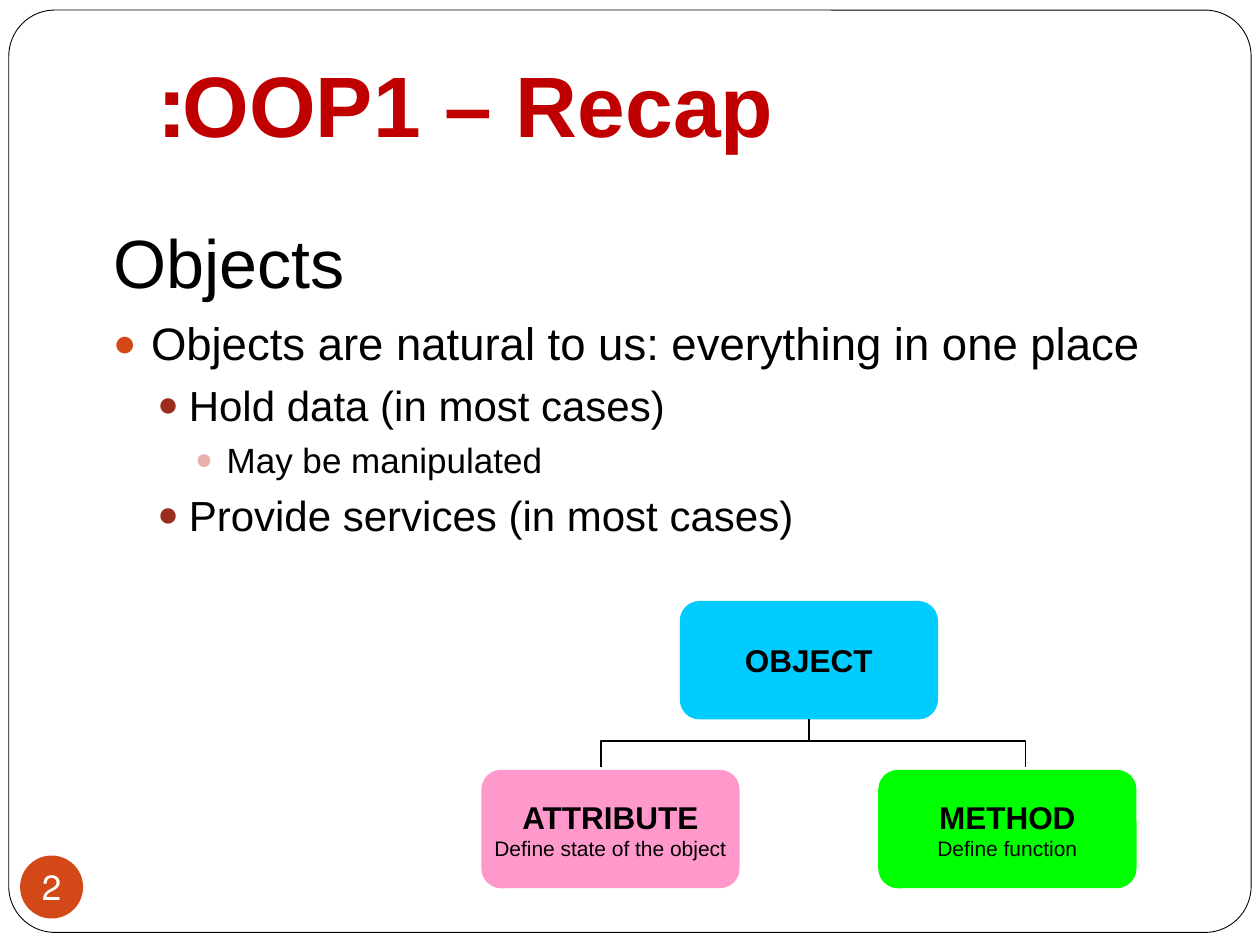
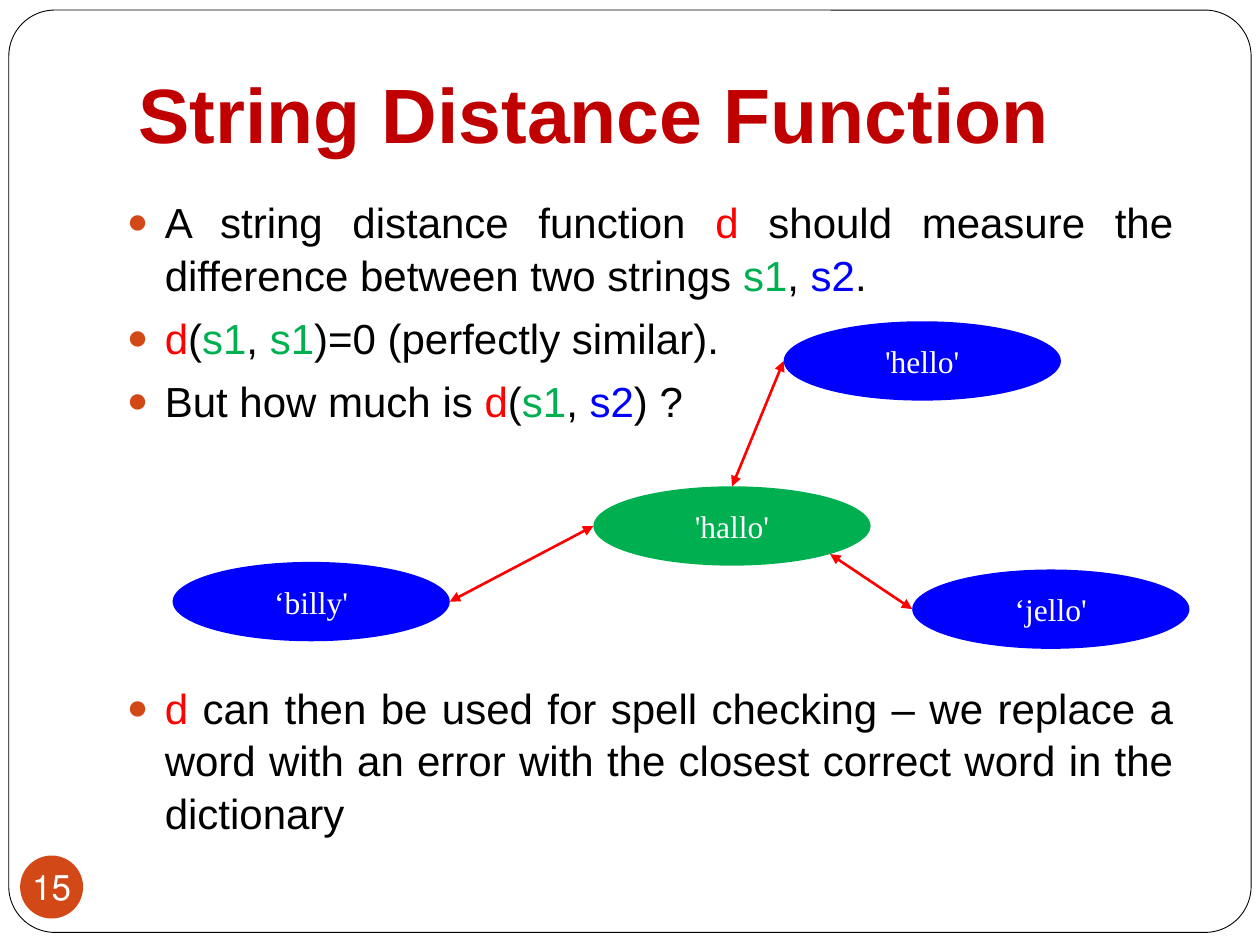
from math import cos, pi, sin

from lxml.etree import SubElement
from pptx import Presentation
from pptx.dml.color import RGBColor
from pptx.enum.shapes import MSO_CONNECTOR as LINK, MSO_SHAPE as SHAPE
from pptx.enum.text import MSO_ANCHOR as ANCHOR, PP_ALIGN as ALIGN
from pptx.oxml.ns import qn
from pptx.util import Inches, Pt

WHITE = RGBColor(0xFF, 0xFF, 0xFF)
BLACK = RGBColor(0, 0, 0)
CRIMSON = RGBColor(0xC0, 0, 0)
ORANGE = RGBColor(0xD3, 0x48, 0x17)
BRICK = RGBColor(0x9B, 0x2D, 0x1F)
ROSE = RGBColor(0xE6, 0xB1, 0xAC)
RED = RGBColor(0xFF, 0, 0)
GREEN = RGBColor(0, 0xB0, 0x50)
BLUE = RGBColor(0, 0, 0xFF)
CYAN = RGBColor(0, 0xCC, 0xFF)
PINK = RGBColor(0xFF, 0x99, 0xCC)
LIME = RGBColor(0, 0xFF, 0)

SYMBOLS = {"d": RED, "s1": GREEN, "s2": BLUE}
BULLETS = {0: (0.3, 0.3, ORANGE), 1: (0.6, 0.25, BRICK), 2: (0.9, 0.25, ROSE)}

RECAP = [
    ("Objects", dict(size=39)),
    ("Objects are natural to us: everything in one place", dict(size=26, level=0, before=5.8)),
    ("Hold data (in most cases)", dict(size=24, level=1, before=3.7)),
    ("May be manipulated", dict(size=20, level=2, before=3.7)),
    ("Provide services (in most cases)", dict(size=24, level=1, before=3.7)),
]
DISTANCE = [
    ("A string distance function |d| should measure the difference between two strings |s1|, |s2|.",
     dict(level=0)),
    ("|d|(|s1|, |s1|)=0 (perfectly similar).", dict(level=0, before=5.8, align=ALIGN.LEFT)),
    ("But how much is |d|(|s1|, |s2|) ?", dict(level=0, before=5.8, align=ALIGN.LEFT)),
    ("|d| can then be used for spell checking – we replace a word with an error "
     "with the closest correct word in the dictionary", dict(level=0, before=145)),
]
OBJECT_PARTS = [("ATTRIBUTE", "Define state of the object", PINK),
                ("METHOD", "Define function", LIME)]
WORDS = {
    "hallo": ("'hallo'", 4.71, 3.86, GREEN),
    "hello": ("'hello'", 6.22, 2.55, BLUE),
    "jello": ("‘jello'", 7.24, 4.52, BLUE),
    "billy": ("‘billy'", 1.37, 4.46, BLUE),
}
DISTANCES = [("hallo", 90, "hello", 180), ("hallo", -45, "jello", 180),
             ("hallo", 180, "billy", 0)]

PART_W, PART_H = 2.05, 0.94
PART_LEFT, PART_STEP, OBJECT_TOP, PART_TOP = 3.82, 3.15, 4.77, 6.11
FORK_LEFT, FORK_RIGHT, FORK_TOP, FORK_BOTTOM = 4.77, 8.14, 5.88, 6.09
WORD_W, WORD_H = 2.2, 0.63


def add_bullet(paragraph, level):
    margin, hang, color = BULLETS[level]
    props = paragraph._p.get_or_add_pPr()
    props.set("marL", str(Inches(margin)))
    props.set("indent", str(-Inches(hang)))
    SubElement(SubElement(props, qn("a:buClr")), qn("a:srgbClr"), val=str(color))
    SubElement(props, qn("a:buSzPct"), val="85000")
    SubElement(props, qn("a:buFont"), typeface="Arial")
    SubElement(props, qn("a:buChar"), char="●")


def write(frame, text, size=24, font="Arial", color=BLACK, bold=False, align=ALIGN.LEFT,
          level=None, before=0, spacing=None, rtl=False):
    paragraph = frame.paragraphs[0]
    if paragraph.runs:
        paragraph = frame.add_paragraph()
    paragraph.alignment = align
    paragraph.space_before = Pt(before)
    if spacing:
        paragraph.line_spacing = spacing
    if rtl:
        paragraph._p.get_or_add_pPr().set("rtl", "1")
    if level is not None:
        paragraph.level = level
        add_bullet(paragraph, level)
    for part in filter(None, text.split("|")):
        run = paragraph.add_run()
        run.text = part
        run.font.name, run.font.size, run.font.bold = font, Pt(size), bold
        run.font.color.rgb = SYMBOLS.get(part, color)


def add_box(slide, kind, left, top, width, height, fill, line=None):
    box = slide.shapes.add_shape(kind, *map(Inches, (left, top, width, height)))
    box.shadow.inherit = False
    box.fill.solid()
    box.fill.fore_color.rgb = fill
    if line:
        box.line.color.rgb, box.line.width = line, Pt(0.5)
    else:
        box.line.fill.background()
    box.text_frame.vertical_anchor = ANCHOR.MIDDLE
    return box


def add_text_frame(slide, left, top, width, height):
    frame = slide.shapes.add_textbox(*map(Inches, (left, top, width, height))).text_frame
    frame.word_wrap = True
    return frame


def add_line(slide, start, end, color, width, arrows=False):
    line = slide.shapes.add_connector(LINK.STRAIGHT, *map(Inches, (*start, *end)))
    line.line.color.rgb, line.line.width = color, Pt(width)
    if arrows:
        outline = line.line._get_or_add_ln()
        for end_tag in ("a:headEnd", "a:tailEnd"):
            SubElement(outline, qn(end_tag), type="triangle")
    SubElement(line._element.spPr, qn("a:effectLst"))
    return line


def add_page(deck, number, title, title_size, title_inset=0.1, rtl=False):
    slide = deck.slides.add_slide(deck.slide_layouts[6])
    page = add_box(slide, SHAPE.ROUNDED_RECTANGLE, 0.07, 0.08, 9.86, 7.32, WHITE, BLACK)
    page.adjustments[0] = 0.05
    heading = add_text_frame(slide, 1, 0.3, 8.5, 1.03 if rtl else 1.06)
    heading.vertical_anchor = ANCHOR.BOTTOM
    heading.margin_left, heading.margin_bottom = Inches(title_inset), Inches(0.1)
    write(heading, title, size=title_size, color=CRIMSON, bold=True, rtl=rtl)
    badge = add_box(slide, SHAPE.OVAL, 0.16, 6.79, 0.5, 0.5, ORANGE).text_frame
    badge.margin_left = badge.margin_right = badge.margin_top = badge.margin_bottom = 0
    badge.word_wrap = False
    write(badge, str(number), size=20, font="Lato", color=WHITE, align=ALIGN.CENTER, rtl=True)
    return slide


def add_body(slide, area, items):
    body = add_text_frame(slide, *area)
    for text, style in items:
        write(body, text, **{"align": ALIGN.JUSTIFY, "spacing": 1.05, **style})


def add_part(slide, left, top, name, role, fill):
    part = add_box(slide, SHAPE.ROUNDED_RECTANGLE, left, top, PART_W, PART_H, fill)
    part.text_frame.word_wrap = False
    write(part.text_frame, name, size=18, bold=True, align=ALIGN.CENTER)
    if role:
        write(part.text_frame, role, size=12, align=ALIGN.CENTER)
    return part


def word_edge(word, angle):
    _, left, top, _ = WORDS[word]
    turn = angle * pi / 180
    return left + WORD_W / 2 * (1 + cos(turn)), top + WORD_H / 2 * (1 - sin(turn))


def build_recap(deck):
    slide = add_page(deck, 2, "OOP1 – Recap:", 49, title_inset=0.28, rtl=True)
    add_body(slide, (0.8, 1.67, 8.39, 2.89), RECAP)
    for column, part in enumerate(OBJECT_PARTS):
        add_part(slide, PART_LEFT + column * PART_STEP, PART_TOP, *part)
    object_left = PART_LEFT + PART_STEP / 2
    whole = add_part(slide, object_left, OBJECT_TOP, "OBJECT", None, CYAN)
    pen = slide.shapes.build_freeform(Inches(FORK_LEFT), Inches(FORK_BOTTOM))
    corners = [(FORK_LEFT, FORK_TOP), (FORK_RIGHT, FORK_TOP), (FORK_RIGHT, FORK_BOTTOM)]
    pen.add_line_segments([(Inches(x), Inches(y)) for x, y in corners], close=False)
    fork = pen.convert_to_shape()
    fork.shadow.inherit = False
    fork.fill.background()
    fork.line.color.rgb, fork.line.width = BLACK, Pt(0.75)
    middle = object_left + PART_W / 2
    stem = add_line(slide, (middle, OBJECT_TOP + PART_H), (middle, FORK_TOP), BLACK, 0.75)
    stem.begin_connect(whole, 2)


def build_distance(deck):
    slide = add_page(deck, 15, "String Distance Function", 44)
    add_body(slide, (0.91, 1.49, 8.5, 5), DISTANCE)
    for label, left, top, fill in WORDS.values():
        word = add_box(slide, SHAPE.OVAL, left, top, WORD_W, WORD_H, fill)
        write(word.text_frame, label, size=18, font="Times New Roman", color=WHITE,
              align=ALIGN.CENTER)
    for first, first_angle, second, second_angle in DISTANCES:
        add_line(slide, word_edge(first, first_angle), word_edge(second, second_angle),
                 RED, 1.5, arrows=True)


def main():
    deck = Presentation()
    deck.slide_width, deck.slide_height = Inches(10), Inches(7.5)
    build_recap(deck)
    build_distance(deck)
    deck.save("out.pptx")


if __name__ == "__main__":
    main()
